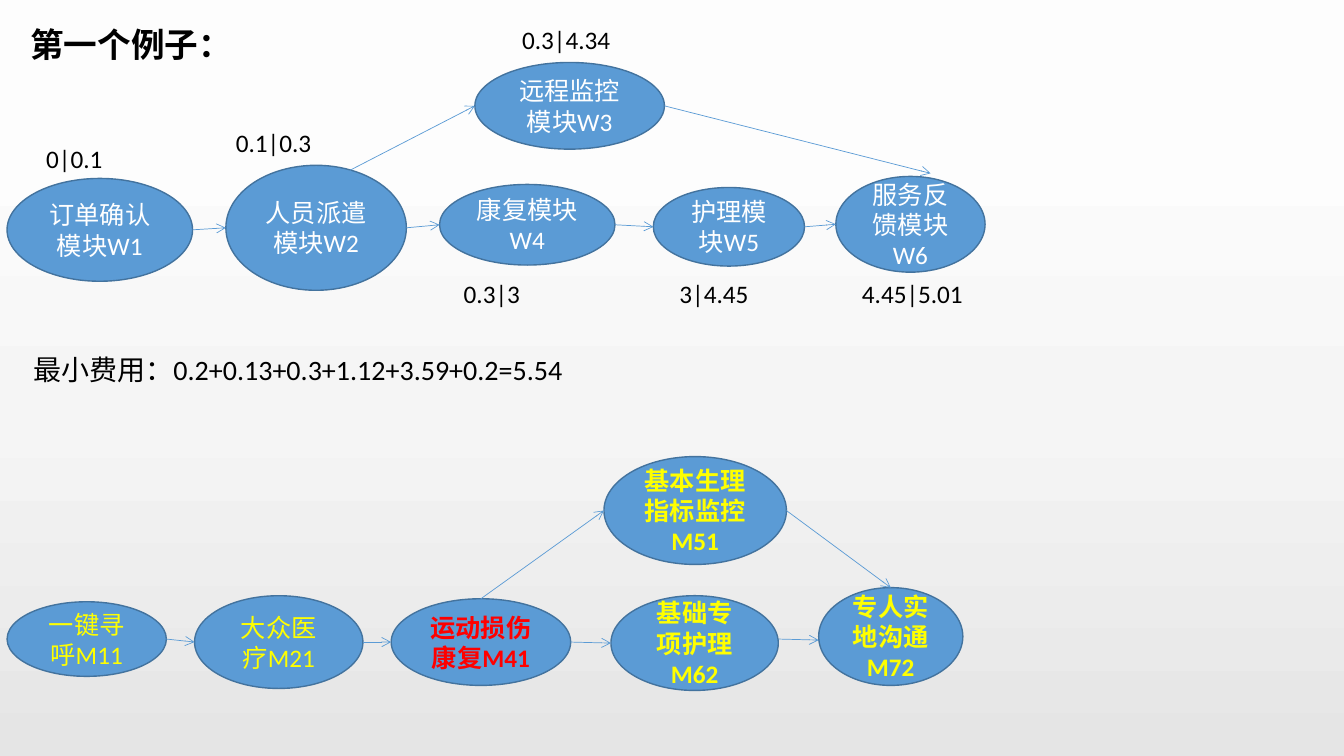
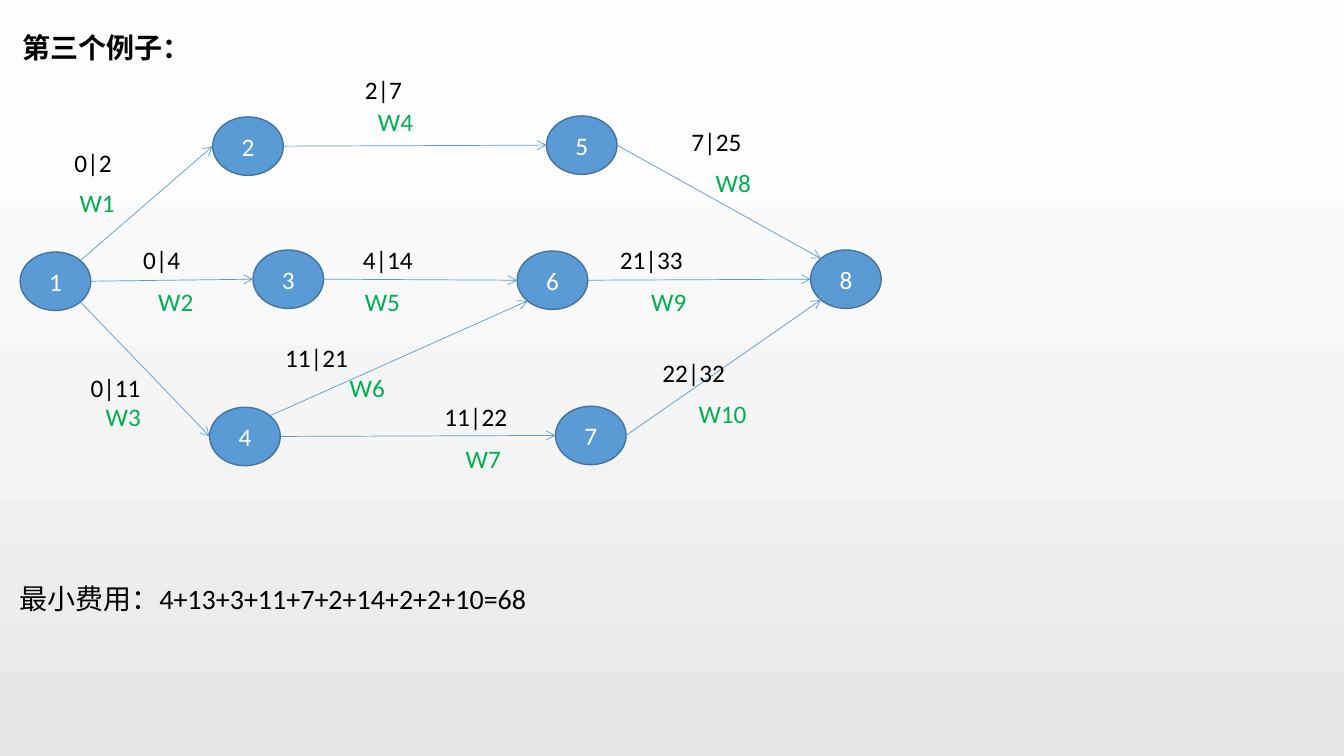
from collections import namedtuple
from math import sqrt

from lxml.etree import SubElement
from pptx import Presentation
from pptx.dml.color import RGBColor
from pptx.enum.dml import MSO_FILL
from pptx.enum.shapes import MSO_CONNECTOR, MSO_SHAPE
from pptx.enum.text import MSO_ANCHOR, MSO_AUTO_SIZE, PP_ALIGN
from pptx.oxml.ns import qn
from pptx.util import Emu, Pt

EMU_PER_PX = 9144
SLIDE_WIDTH, SLIDE_HEIGHT = 1333, 750

THEME = {
    "font": "Calibri",
    "node": "5B9BD5",
    "outline": "43739E",
    "outline_width": Pt(1),
    "arrow_width": Pt(0.5),
    "background": [(0, "FDFDFD"), (18, "FDFDFD"), (55, "F5F5F5"), (100, "E5E5E5")],
    "label": {"size": Pt(18), "color": "000000"},
    "task": {"size": Pt(18), "color": "00B050"},
    "cost": {"size": Pt(20), "color": "000000"},
    "heading": {"size": Pt(24), "color": "000000", "bold": True},
    "small_heading": {"size": Pt(20), "color": "000000", "bold": True},
    "plain_node": {"size": Pt(18), "color": "FFFFFF"},
    "chosen_node": {"size": Pt(18), "color": "FFFF00"},
    "bold_node": {"size": Pt(18), "color": "FFFF00", "bold": True},
    "alert_node": {"size": Pt(18), "color": "FF0000", "bold": True},
}

Box = namedtuple("Box", "left top width height")
Node = namedtuple("Node", "name box text style")

# Connection sites of an ellipse: index, and direction from its centre
DIAGONAL = sqrt(0.5)
SITES = {
    "top": (0, 0, -1),
    "top left": (1, -DIAGONAL, -DIAGONAL),
    "left": (2, -1, 0),
    "bottom left": (3, -DIAGONAL, DIAGONAL),
    "bottom right": (5, DIAGONAL, DIAGONAL),
    "right": (6, 1, 0),
    "top right": (7, DIAGONAL, -DIAGONAL),
}


def px(length):
    return Emu(round(length * EMU_PER_PX))


def color(value):
    return RGBColor.from_string(value)


def set_attributes(target, values):
    for name, value in values.items():
        setattr(target, name, value)


def place(shape, box):
    set_attributes(shape, {side: px(length) for side, length in box._asdict().items()})


def inside(region, box):
    """Move a box given relative to a region onto the slide."""
    return box._replace(left=region.left + box.left, top=region.top + box.top)


def write_text(frame, text, style, **frame_values):
    set_attributes(frame, {"word_wrap": True, **frame_values})
    paragraph = frame.paragraphs[0]
    run = paragraph.add_run()
    run.text = text
    font_values = {"name": THEME["font"], "bold": False, **THEME[style]}
    run.font.color.rgb = color(font_values.pop("color"))
    set_attributes(run.font, font_values)
    return paragraph


def add_label(slide, box, text, style):
    shape = slide.shapes.add_textbox(*map(px, box))
    write_text(shape.text_frame, text, style, auto_size=MSO_AUTO_SIZE.SHAPE_TO_FIT_TEXT)


def add_node(slide, box, text, style):
    shape = slide.shapes.add_shape(MSO_SHAPE.OVAL, *map(px, box))
    shape.shadow.inherit = False
    shape.fill.solid()
    shape.fill.fore_color.rgb = color(THEME["node"])
    shape.line.color.rgb = color(THEME["outline"])
    shape.line.width = THEME["outline_width"]
    paragraph = write_text(
        shape.text_frame, text, style, vertical_anchor=MSO_ANCHOR.MIDDLE)
    paragraph.alignment = PP_ALIGN.CENTER
    return shape


def site_point(shape, site):
    _, across, down = SITES[site]
    return (Emu(round(shape.left + shape.width * (1 + across) / 2)),
            Emu(round(shape.top + shape.height * (1 + down) / 2)))


def add_arrow(slide, region, shapes, start, end):
    """Join two ends, each a (node name, site) pair or a free (x, y) point."""
    points, glued = [], []
    for tag, (first, second) in (("a:stCxn", start), ("a:endCxn", end)):
        if second in SITES:
            points += site_point(shapes[first], second)
            glued.append((tag, shapes[first].shape_id, SITES[second][0]))
        else:
            points += px(region.left + first), px(region.top + second)
    connector = slide.shapes.add_connector(MSO_CONNECTOR.STRAIGHT, *points)
    connector.line.color.rgb = color(THEME["node"])
    connector.line.width = THEME["arrow_width"]
    properties = connector.element.spPr
    SubElement(properties.find(qn("a:ln")), qn("a:tailEnd"), type="arrow")
    SubElement(properties, qn("a:effectLst"))
    joints = connector.element.find(".//" + qn("p:cNvCxnSpPr"))
    for tag, shape_id, index in glued:
        SubElement(joints, qn(tag), id=str(shape_id), idx=str(index))


def add_network(slide, region, nodes, arrows, labels=()):
    shapes = {node.name: add_node(slide, inside(region, node.box), node.text, node.style)
              for node in nodes}
    for start, end in arrows:
        add_arrow(slide, region, shapes, start, end)
    for left, top, text, style in labels:
        add_label(slide, inside(region, Box(left, top, 132, 40)), text, style)


def add_example_slide(presentation, title, title_box, title_style, cost, cost_box):
    slide = presentation.slides.add_slide(presentation.slide_layouts.get_by_name("Title Only"))
    heading = slide.shapes.title
    place(heading, title_box)
    paragraph = write_text(heading.text_frame, title, title_style,
                           vertical_anchor=MSO_ANCHOR.TOP, auto_size=MSO_AUTO_SIZE.NONE)
    paragraph.alignment = PP_ALIGN.LEFT
    add_label(slide, cost_box, cost, "cost")
    return slide


def set_background(master):
    fill = master.background.fill
    if fill.type != MSO_FILL.GRADIENT:
        fill.gradient()
    fill.gradient_angle = 270
    stops = master.element.xpath("./p:cSld/p:bg//a:gsLst")[0]
    for stop in list(stops):
        stops.remove(stop)
    for percent, value in THEME["background"]:
        stop = SubElement(stops, qn("a:gs"), pos=str(percent * 1000))
        SubElement(stop, qn("a:srgbClr"), val=value)


def add_service_network(slide, region):
    nodes = [
        Node("W1", Box(7, 177, 184, 102), "订单确认模块W1", "plain_node"),
        Node("W2", Box(224, 164, 179, 124), "人员派遣模块W2", "plain_node"),
        Node("W3", Box(471, 62, 188, 86), "远程监控模块W3", "plain_node"),
        Node("W4", Box(436, 183, 174, 80), "康复模块W4", "plain_node"),
        Node("W5", Box(648, 186, 150, 78), "护理模块W5", "plain_node"),
        Node("W6", Box(829, 175, 148, 95), "服务反馈模块W6", "plain_node"),
    ]
    chain = ["W1", "W2", "W4", "W5", "W6"]
    arrows = [((source, "right"), (target, "left")) for source, target in zip(chain, chain[1:])]
    arrows += [((347, 169), ("W3", "left")), (("W3", "right"), (923, 172))]
    labels = [
        (36, 137, "0|0.1", "label"),
        (224, 121, "0.1|0.3", "label"),
        (508, 19, "0.3|4.34", "label"),
        (450, 271, "0.3|3", "label"),
        (664, 271, "3|4.45", "label"),
        (845, 271, "4.45|5.01", "label"),
    ]
    add_network(slide, region, nodes, arrows, labels)


def add_selection_network(slide, region):
    nodes = [
        Node("M11", Box(7, 147, 158, 74), "一键寻呼M11", "chosen_node"),
        Node("M21", Box(193, 141, 167, 92), "大众医疗M21", "chosen_node"),
        Node("M41", Box(388, 144, 178, 86), "运动损伤康复M41", "alert_node"),
        Node("M51", Box(599, 3, 181, 107), "基本生理指标监控M51", "bold_node"),
        Node("M62", Box(606, 141, 166, 94), "基础专项护理M62", "bold_node"),
        Node("M72", Box(812, 133, 143, 97), "专人实地沟通M72", "bold_node"),
    ]
    chain = ["M11", "M21", "M41", "M62"]
    arrows = [((source, "right"), (target, "left")) for source, target in zip(chain, chain[1:])]
    arrows += [
        ((772, 184), (812, 185)),
        (("M41", "top"), ("M51", "left")),
        (("M51", "right"), ("M72", "top")),
    ]
    add_network(slide, region, nodes, arrows)


def add_task_network(slide, region):
    corners = [(20, 190), (211, 56), (251, 188), (208, 344),
               (542, 55), (513, 189), (551, 343), (804, 188)]
    nodes = [Node(number, Box(left, top, 70, 58), str(number), "plain_node")
             for number, (left, top) in enumerate(corners, 1)]
    arrows = [
        ((1, "top right"), (2, "left")),
        ((1, "right"), (3, "left")),
        ((1, "bottom right"), (4, "left")),
        ((2, "right"), (5, "left")),
        ((3, "right"), (6, "left")),
        ((4, "top right"), (6, "bottom left")),
        ((4, "right"), (7, "left")),
        ((5, "right"), (8, "top left")),
        ((6, "right"), (8, "left")),
        ((7, "right"), (8, "bottom left")),
    ]
    # Per task: its time window with left and top, then left and top of its name
    tasks = [
        ("0|2", 64, 81, 69, 121),
        ("0|4", 132, 177, 147, 219),
        ("0|11", 80, 304, 95, 333),
        ("2|7", 352, 9, 365, 41),
        ("4|14", 350, 177, 352, 219),
        ("11|21", 273, 275, 337, 304),
        ("11|22", 431, 333, 452, 375),
        ("7|25", 676, 60, 700, 101),
        ("21|33", 605, 177, 636, 219),
        ("22|32", 647, 290, 683, 330),
    ]
    labels = []
    for number, (window, left, top, name_left, name_top) in enumerate(tasks, 1):
        labels.append((left, top, window, "label"))
        labels.append((name_left, name_top, f"W{number}", "task"))
    add_network(slide, region, nodes, arrows, labels)


def main():
    presentation = Presentation()
    presentation.slide_width, presentation.slide_height = px(SLIDE_WIDTH), px(SLIDE_HEIGHT)
    set_background(presentation.slide_master)

    first = add_example_slide(
        presentation, "第一个例子：", Box(20, 19, 361, 50), "heading",
        "最小费用：0.2+0.13+0.3+1.12+3.59+0.2=5.54", Box(23, 345, 601, 44))
    add_service_network(first, Box(0, 0, 980, 310))
    add_selection_network(first, Box(0, 450, 960, 240))

    third = add_example_slide(
        presentation, "第三个例子：", Box(12, 25, 264, 44), "small_heading",
        "最小费用：4+13+3+11+7+2+14+2+2+10=68", Box(9, 572, 829, 44))
    add_task_network(third, Box(0, 60, 880, 420))

    presentation.save("out.pptx")


if __name__ == "__main__":
    main()
